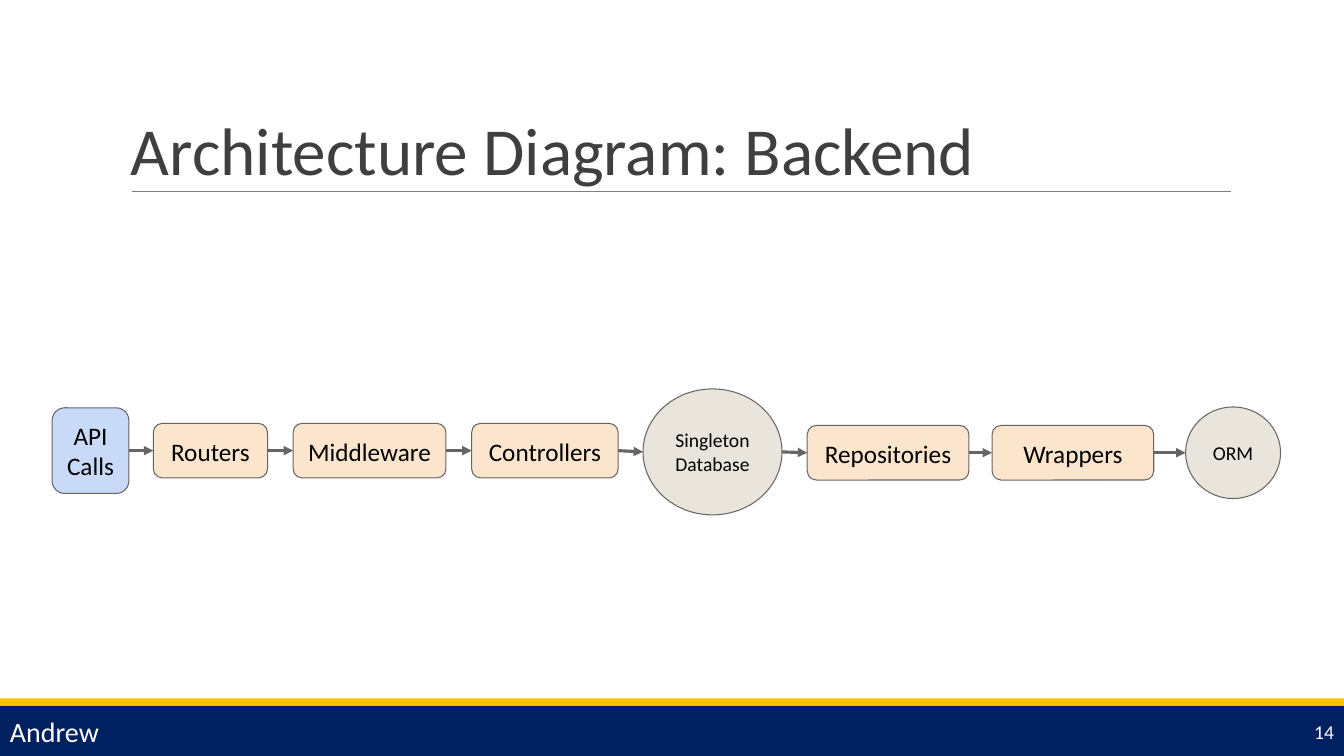
"""Build the backend architecture slide on a grid of 160 columns by 90 rows."""
from dataclasses import dataclass
from itertools import pairwise

from lxml import etree
from pptx import Presentation
from pptx import util as u
from pptx.dml.color import RGBColor
from pptx.enum import shapes, text
from pptx.oxml.ns import qn


@dataclass(frozen=True)
class Theme:
    """Hold the colours, type sizes and font of the slide."""
    font: str = "Calibri"
    navy: str = "002060"
    gold: str = "FFC000"
    rule: str = "7F7F7F"
    title: str = "3F3F3F"
    white: str = "FFFFFF"
    black: str = "000000"
    edge: str = "696464"
    entry: str = "C9DAF8"
    layer: str = "FCE5CD"
    store: str = "E9E5DC"
    title_size: int = 48
    name_size: int = 20
    layer_size: int = 18
    small_size: int = 14


T = Theme()
CELL = u.Inches(1 / 12)
BOX, OVAL = shapes.MSO_SHAPE.ROUNDED_RECTANGLE, shapes.MSO_SHAPE.OVAL
TOP, MIDDLE, BOTTOM = (text.MSO_ANCHOR.TOP, text.MSO_ANCHOR.MIDDLE,
                       text.MSO_ANCHOR.BOTTOM)
CENTER, RIGHT = text.PP_ALIGN.CENTER, text.PP_ALIGN.RIGHT


@dataclass(frozen=True)
class Stage:
    """Describe one stage of the flow in columns and rows."""
    label: str
    left: float
    width: float
    middle: float = 53.65
    height: float = 6.5
    kind: int = BOX
    fill: str = T.layer
    size: int = T.layer_size
    anchor: int = TOP


STAGES = [
    Stage("API Calls", 6.2, 9.15, height=10.2, fill=T.entry, anchor=MIDDLE),
    Stage("Routers", 18.25, 13.6),
    Stage("Middleware", 34.9, 18.2),
    Stage("Controllers", 56.15, 17.45),
    Stage("Singleton Database", 76.55, 16.55, 53.8, 15, OVAL, T.store, T.small_size, MIDDLE),
    Stage("Repositories", 96.1, 19.25, 53.9),
    Stage("Wrappers", 118.1, 19.25, 53.9),
    Stage("ORM", 141.15, 11.3, 53.9, 10.9, OVAL, T.store, T.small_size, MIDDLE),
]


def grid(*cells):
    """Turn columns and rows into slide lengths."""
    return [u.Emu(round(c * CELL)) for c in cells]


def rgb(color):
    """Turn a hex string into a colour."""
    return RGBColor.from_string(color)


def write(sp, words, *, size, color, align=None, anchor=TOP, inset=0.1, spacing=None):
    """Write one formatted paragraph into a shape."""
    tf = sp.text_frame
    tf.word_wrap = True
    tf.vertical_anchor = anchor
    tf.margin_left = tf.margin_right = u.Inches(0.1)
    tf.margin_top = tf.margin_bottom = u.Inches(inset)
    p = tf.paragraphs[0]
    p.alignment = align
    p.line_spacing = spacing
    r = p.add_run()
    r.text = words
    r.font.name, r.font.size = T.font, u.Pt(size)
    r.font.color.rgb = rgb(color)


def add_label(s, at, words, **style):
    """Add a text box."""
    write(s.shapes.add_textbox(*grid(*at)), words, **style)


def add_block(s, kind, at, fill, edge=None):
    """Add a filled shape, outlined when an edge colour is given."""
    sp = s.shapes.add_shape(kind, *grid(*at))
    sp.shadow.inherit = False
    sp.fill.solid()
    sp.fill.fore_color.rgb = rgb(fill)
    if edge:
        sp.line.color.rgb = rgb(edge)
        sp.line.width = u.Pt(0.75)
    else:
        sp.line.fill.background()
    return sp


def add_line(s, ends, color, width, arrow=False):
    """Add a straight line, with an arrowhead at its end on request."""
    cx = s.shapes.add_connector(shapes.MSO_CONNECTOR.STRAIGHT, *grid(*ends))
    cx.line.color.rgb = rgb(color)
    cx.line.width = u.Pt(width)
    if arrow:
        etree.SubElement(cx.line._get_or_add_ln(), qn("a:tailEnd"), type="triangle")
    etree.SubElement(cx._element.spPr, qn("a:effectLst"))


def add_stage(s, stage):
    """Add one labelled stage of the flow."""
    at = stage.left, stage.middle - stage.height / 2, stage.width, stage.height
    sp = add_block(s, stage.kind, at, stage.fill, T.edge)
    write(sp, stage.label, size=stage.size, color=T.black, align=CENTER,
          anchor=stage.anchor)


def add_frame(s):
    """Add the footer bands, title, rule, presenter and slide number."""
    for top, height, fill in ((84, 6, T.navy), (83.15, 0.85, T.gold)):
        add_block(s, shapes.MSO_SHAPE.RECTANGLE, (0, top, 160, height), fill)
    add_line(s, (15.7, 22.75, 146.5, 22.75), T.rule, 0.75)
    add_label(s, (14.4, 4.65, 138.1, 18.5), "Architecture Diagram: Backend",
              size=T.title_size, color=T.title, anchor=BOTTOM, inset=0.05, spacing=0.85)
    add_label(s, (146.4, 84.7, 13.6, 4.8), "14", size=T.small_size,
              color=T.white, align=RIGHT, anchor=MIDDLE, inset=0.05)
    add_label(s, (0, 83.9, 50.4, 6.5), "Andrew", size=T.name_size, color=T.white)


def main():
    """Build and save the slide."""
    prs = Presentation()
    prs.slide_width, prs.slide_height = grid(160, 90)
    s = prs.slides.add_slide(prs.slide_layouts[6])
    add_frame(s)
    for stage in STAGES:
        add_stage(s, stage)
    for a, b in pairwise(STAGES):
        add_line(s, (a.left + a.width, a.middle, b.left, b.middle), T.edge, 2.25, arrow=True)
    prs.save("out.pptx")


if __name__ == "__main__":
    main()
